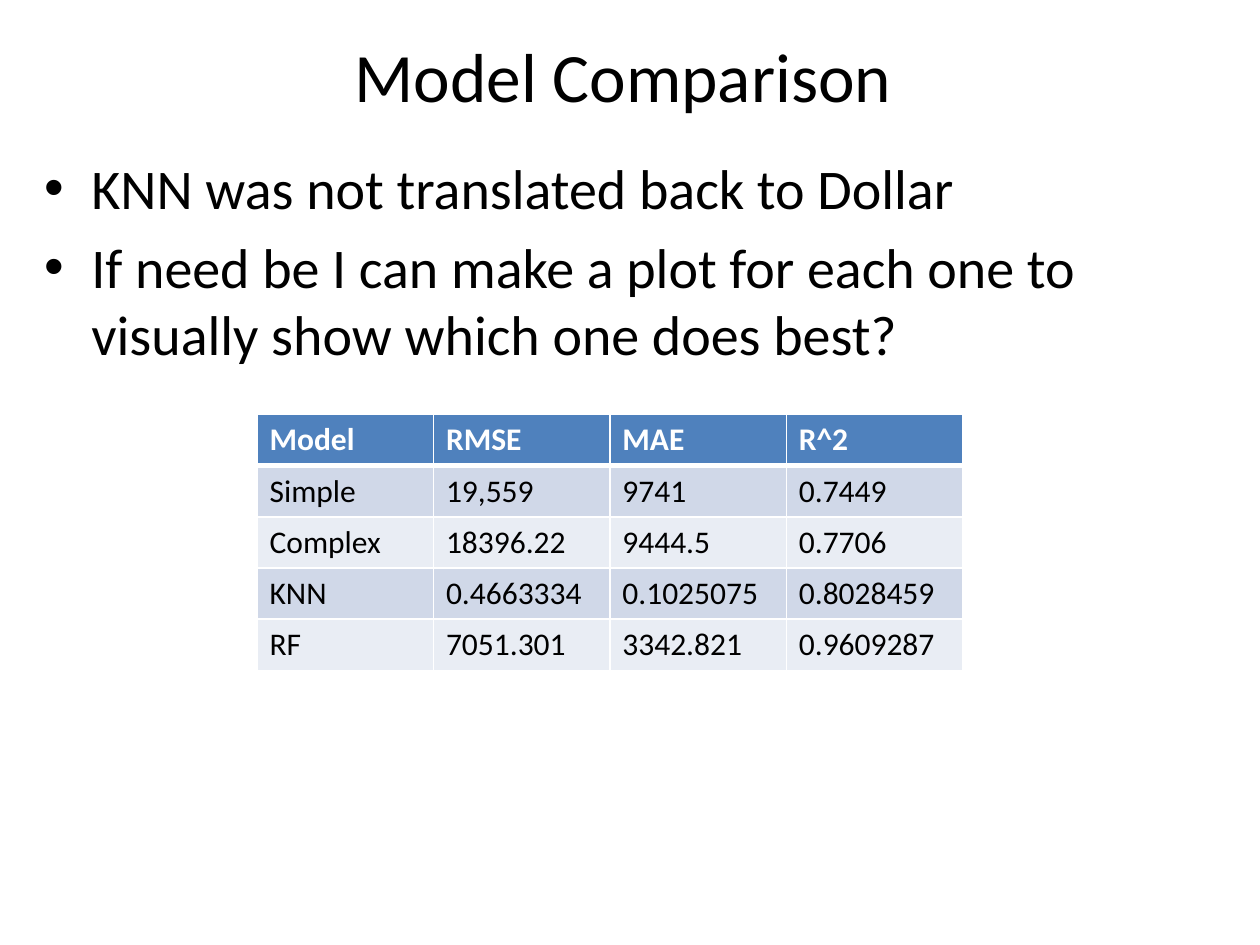
import dataclasses

import pptx
import pptx.dml.color
import pptx.enum.text
import pptx.oxml
import pptx.oxml.ns
import pptx.util
from lxml import etree


@dataclasses.dataclass(frozen=True)
class Theme:
    font: str = "Calibri"
    text: str = "000000"
    white: str = "FFFFFF"
    header: str = "4F81BD"
    bands: tuple = ("D0D8E8", "E9EDF4")
    title_size: float = 39.6
    body_size: float = 32
    table_size: float = 18


THEME = Theme()
SLIDE_WIDTH, SLIDE_HEIGHT = 10, 7.5
BULLETS = [
    "KNN was not translated back to Dollar",
    "If need be I can make a plot for each one to visually show which one does best?",
]
MODEL_SCORES = [
    ["Model", "RMSE", "MAE", "R^2"],
    ["Simple", "19,559", "9741", "0.7449"],
    ["Complex", "18396.22", "9444.5", "0.7706"],
    ["KNN", "0.4663334", "0.1025075", "0.8028459"],
    ["RF", "7051.301", "3342.821", "0.9609287"],
]


def color(value):
    return pptx.dml.color.RGBColor.from_string(value)


def add_run(paragraph, text, size, text_color=THEME.text, bold=False):
    run = paragraph.add_run()
    run.text = text
    run.font.name = THEME.font
    run.font.size = pptx.util.Pt(size)
    run.font.bold = bold
    run.font.color.rgb = color(text_color)


def place(shape, box):
    shape.left, shape.top, shape.width, shape.height = map(pptx.util.Inches, box)


def fill_title(placeholder, box, text):
    place(placeholder, box)
    frame = placeholder.text_frame
    frame.auto_size = pptx.enum.text.MSO_AUTO_SIZE.NONE
    frame.vertical_anchor = pptx.enum.text.MSO_ANCHOR.MIDDLE
    paragraph = frame.paragraphs[0]
    paragraph.alignment = pptx.enum.text.PP_ALIGN.CENTER
    add_run(paragraph, text, THEME.title_size)


def fill_bullets(placeholder, box, items):
    # Bullet marks and hanging indents come from the template's body style
    place(placeholder, box)
    frame = placeholder.text_frame
    frame.auto_size = pptx.enum.text.MSO_AUTO_SIZE.NONE
    for index, item in enumerate(items):
        paragraph = frame.add_paragraph() if index else frame.paragraphs[0]
        paragraph.space_before = pptx.util.Pt(0.2 * THEME.body_size if index else 0)
        add_run(paragraph, item, THEME.body_size)


def set_borders(cell, widths):
    properties = cell._tc.get_or_add_tcPr()
    for side, width in widths.items():
        line = etree.SubElement(properties, pptx.oxml.ns.qn(f"a:ln{side}"),
                                w=str(pptx.util.Pt(width)))
        fill = etree.SubElement(line, pptx.oxml.ns.qn("a:solidFill"))
        etree.SubElement(fill, pptx.oxml.ns.qn("a:srgbClr"), val=THEME.white)


def add_score_table(slide, box, rows):
    table = slide.shapes.add_table(
        len(rows), len(rows[0]), *map(pptx.util.Inches, box)).table
    for row_index, values in enumerate(rows):
        is_header = row_index == 0
        fill_color = THEME.header if is_header else THEME.bands[(row_index - 1) % 2]
        text_color = THEME.white if is_header else THEME.text
        # A thick rule parts the header from the scores
        widths = {"L": 1, "R": 1, "T": 3 if row_index == 1 else 1,
                  "B": 3 if is_header else 1}
        for column_index, value in enumerate(values):
            cell = table.cell(row_index, column_index)
            set_borders(cell, widths)
            cell.fill.solid()
            cell.fill.fore_color.rgb = color(fill_color)
            add_run(cell.text_frame.paragraphs[0], value, THEME.table_size,
                    text_color, is_header)


def build_comparison_slide(presentation):
    slide = presentation.slides.add_slide(presentation.slide_layouts[1])
    margin = SLIDE_WIDTH / 40
    # Title
    fill_title(slide.shapes.title, (margin, 0.2, 9.39, 0.79), "Model Comparison")
    # Remarks
    fill_bullets(slide.placeholders[1],
                 (margin, 1.17, SLIDE_WIDTH - 2 * margin, 6.14), BULLETS)
    # Scores
    column_width, row_height = 1.4, 0.406
    add_score_table(slide, (2.04, 3.29, column_width * len(MODEL_SCORES[0]),
                            row_height * len(MODEL_SCORES)), MODEL_SCORES)


def main():
    presentation = pptx.Presentation()
    presentation.slide_width = pptx.util.Inches(SLIDE_WIDTH)
    presentation.slide_height = pptx.util.Inches(SLIDE_HEIGHT)
    build_comparison_slide(presentation)
    presentation.save("out.pptx")


if __name__ == "__main__":
    main()
